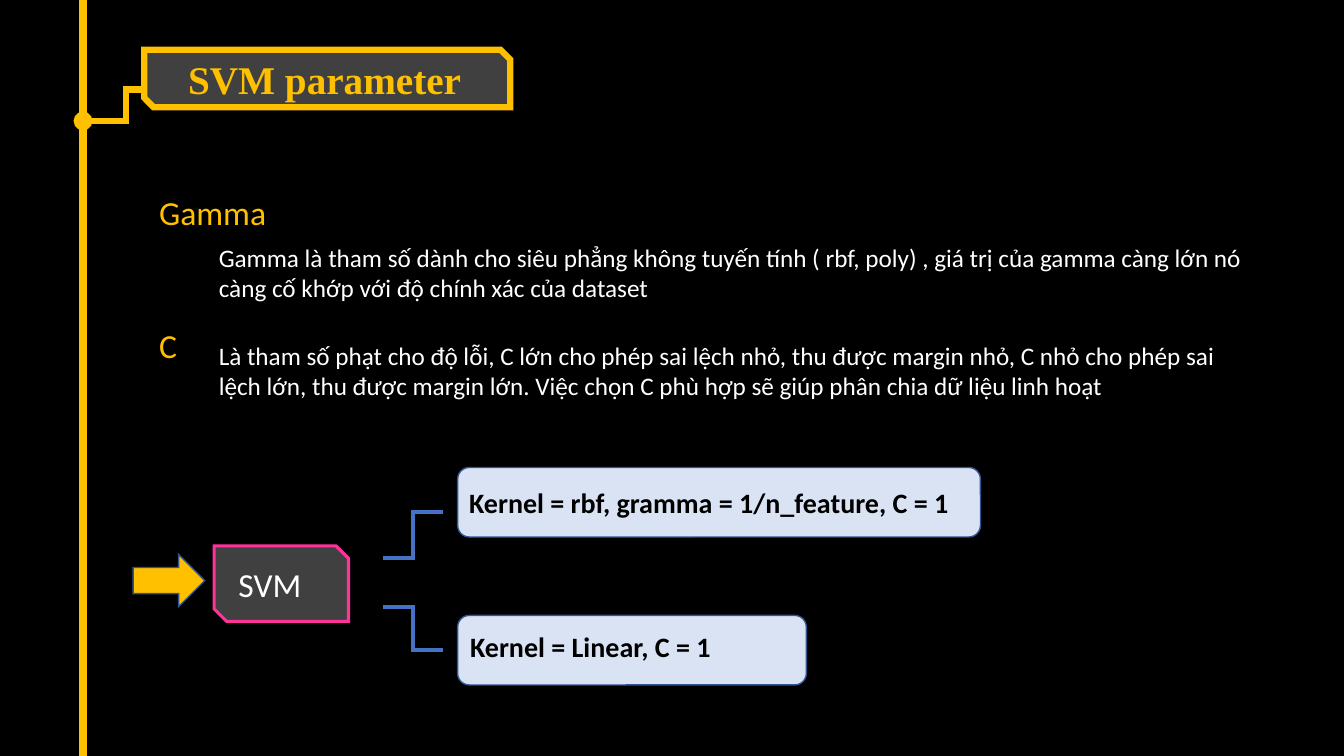
from pptx import Presentation
from pptx.dml.color import RGBColor
from pptx.enum.shapes import MSO_CONNECTOR as CONN, MSO_SHAPE as SHAPE
from pptx.enum.text import MSO_ANCHOR as ANCHOR, MSO_AUTO_SIZE as AUTO, PP_ALIGN as ALIGN
from pptx.oxml.ns import qn
from pptx.util import Inches, Pt
from lxml.etree import SubElement

BLACK = RGBColor(0x00, 0x00, 0x00)
WHITE = RGBColor(0xFF, 0xFF, 0xFF)
GOLD = RGBColor(0xFF, 0xC0, 0x00)
GREY = RGBColor(0x40, 0x40, 0x40)
PINK = RGBColor(0xFF, 0x33, 0x99)
BLUE = RGBColor(0x44, 0x72, 0xC4)
NAVY = RGBColor(0x32, 0x54, 0x91)
PALE = RGBColor(0xDA, 0xE3, 0xF3)

prs = Presentation()
prs.slide_width, prs.slide_height = Inches(13.33), Inches(7.5)
COL, ROW = prs.slide_width / 100, prs.slide_height / 100


def grid(*values):
    """Turn alternating column and row counts into slide lengths."""
    return [round(v * (ROW if i % 2 else COL)) for i, v in enumerate(values)]


def write(sp, text, size, color, font="Calibri", bold=False, inset=0.1, bottom=0.05,
          anchor=ANCHOR.MIDDLE):
    tf = sp.text_frame
    tf.word_wrap, tf.auto_size = True, AUTO.NONE
    tf.vertical_anchor = anchor
    tf.margin_left, tf.margin_bottom = Inches(inset), Inches(bottom)
    p = tf.paragraphs[0]
    p.alignment = ALIGN.LEFT
    r = p.add_run()
    r.text = text
    r.font.name, r.font.size, r.font.bold = font, Pt(size), bold
    r.font.color.rgb = color


s = prs.slides.add_slide(prs.slide_layouts[5])
s.background.fill.solid()
s.background.fill.fore_color.rgb = BLACK

# Lines: the rail, its branch to the title, and the two kernel branches
for kind, ends, color, width, dotted in [
    (CONN.STRAIGHT, (6.18, 0, 6.18, 100), GOLD, 6, False),
    (CONN.ELBOW, (6.18, 16, 12.53, 11.85), GOLD, 4.5, True),
    (CONN.ELBOW, (28.5, 80.27, 32.95, 86), BLUE, 3, False),
    (CONN.ELBOW, (28.5, 73.8, 32.95, 67.7), BLUE, 3, False),
]:
    line = s.shapes.add_connector(kind, *grid(*ends))
    line.line.color.rgb, line.line.width = color, Pt(width)
    ln = line.element.spPr.find(qn("a:ln"))
    SubElement(ln, qn("a:miter"), lim="800000")
    if dotted:
        SubElement(ln, qn("a:headEnd"), type="oval")
    SubElement(line.element.spPr, qn("a:effectLst"))

# Shapes, with their labels where they have one; the title lies on the first
title = s.shapes.title
for kind, box, fill, edge, width, label in [
    (SHAPE.SNIP_2_DIAG_RECTANGLE, (10.73, 6.6, 27.23, 7.6), GREY, GOLD, 4.5, None),
    (SHAPE.ROUNDED_RECTANGLE, (34.05, 81.4, 25.95, 9.2), PALE, NAVY, 1,
     dict(text="Kernel = Linear, C = 1", size=20, color=BLACK, bold=True, inset=0.09,
          bottom=0.13)),
    (SHAPE.ROUNDED_RECTANGLE, (34.05, 61.83, 38.9, 9.2), PALE, NAVY, 1,
     dict(text="Kernel = rbf, gramma = 1/n_feature, C = 1", size=20, color=BLACK,
          bold=True, inset=0.08)),
    (SHAPE.SNIP_2_DIAG_RECTANGLE, (15.93, 72.2, 10, 10), GREY, PINK, 2.25,
     dict(text="SVM", size=24, color=WHITE, inset=0.18)),
    (SHAPE.RIGHT_ARROW, (9.9, 73.35, 5.33, 6.9), GOLD, NAVY, 1, None),
]:
    sp = s.shapes.add_shape(kind, *grid(*box))
    sp.shadow.inherit = False
    sp.fill.solid()
    sp.fill.fore_color.rgb = fill
    sp.line.color.rgb, sp.line.width = edge, Pt(width)
    SubElement(sp.element.spPr.find(qn("a:ln")), qn("a:miter"), lim="800000")
    if label:
        write(sp, **label)
    if edge == GOLD:
        sp.element.addnext(title.element)

title.left, title.top, title.width, title.height = grid(12.5, 6.6, 24.8, 7.6)
write(title, "SVM parameter", 28, GOLD, font="Times New Roman", bold=True, inset=0.2)

# Parameter names and their explanations
for text, box, size, color in [
    ("Gamma", (11.1, 24.73, 12.3, 6.7), 24, GOLD),
    ("Gamma là tham số dành cho siêu phẳng không tuyến tính ( rbf, poly) , giá trị của gamma "
     "càng lớn nó càng cố khớp với độ chính xác của dataset", (15.54, 31.34, 77.7, 9.4), 18, WHITE),
    ("C", (11.1, 42.3, 12.3, 6.7), 24, GOLD),
    ("Là tham số phạt cho độ lỗi, C lớn cho phép sai lệch nhỏ, thu được margin nhỏ, C nhỏ cho "
     "phép sai lệch lớn, thu được margin lớn. Việc chọn C phù hợp sẽ giúp phân chia dữ liệu "
     "linh hoạt", (15.54, 44.35, 76.5, 9.4), 18, WHITE),
]:
    write(s.shapes.add_textbox(*grid(*box)), text, size, color, anchor=ANCHOR.TOP)

prs.save("out.pptx")
